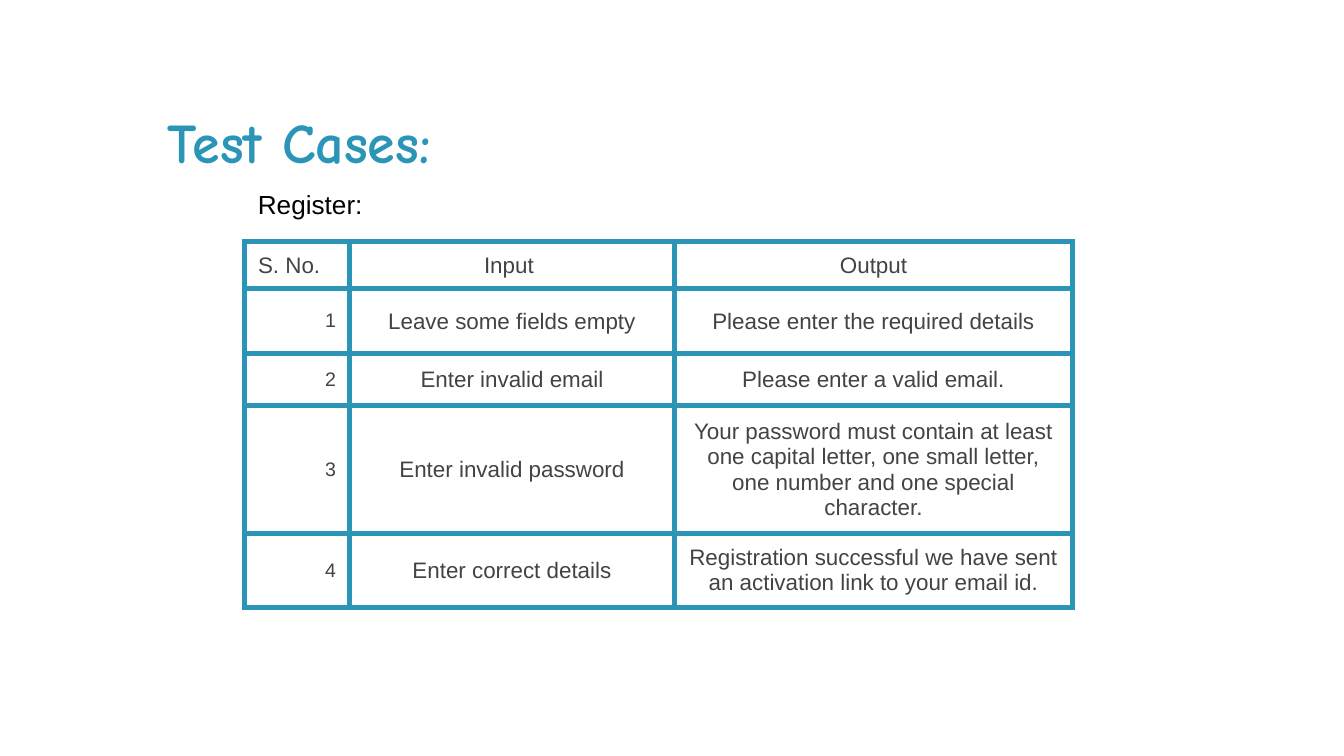
"""Build the register test cases slide."""
from lxml import etree
from pptx import Presentation
from pptx import util as u
from pptx.dml.color import RGBColor
from pptx.enum import text
from pptx.oxml import ns

COLORS = {"teal": "2A95B7", "black": "000000", "gray": "434343", "white": "FFFFFF"}
ALIGN = text.PP_ALIGN


def write(tf, content, size=12, color="gray", font="Arial", bold=False, align=ALIGN.LEFT):
    p = tf.paragraphs[0]
    p.alignment = align
    r = p.add_run()
    r.text = content
    r.font.size = u.Pt(size)
    r.font.name = font
    r.font.bold = bold
    r.font.color.rgb = RGBColor.from_string(COLORS[color])


def add_borders(cell, color, width):
    tc_pr = cell._tc.get_or_add_tcPr()
    for side in ("lnL", "lnR", "lnT", "lnB"):
        ln = etree.SubElement(tc_pr, ns.qn(f"a:{side}"), w=str(u.Pt(width)))
        fill = etree.SubElement(ln, ns.qn("a:solidFill"))
        etree.SubElement(fill, ns.qn("a:srgbClr"), val=COLORS[color])


prs = Presentation()
prs.slide_width, prs.slide_height = u.Inches(10), u.Inches(10 * 9 / 16)
s = prs.slides.add_slide(prs.slide_layouts[6])

headings = [
    ((1.15, 0.7, 7.68, 0.82), 0.1, "Test Cases:",
     dict(size=30, color="teal", font="Comic Neue", bold=True)),
    ((1.82, 1.35, 3.96, 0.34), 0.05, "Register:", dict(size=14, color="black")),
]
for box, inset, content, style in headings:
    tf = s.shapes.add_textbox(*map(u.Inches, box)).text_frame
    tf.word_wrap = True
    tf.margin_top = tf.margin_bottom = u.Inches(inset)
    write(tf, content, **style)

rows = [
    ("S. No.", "Input ", "Output"),
    ("1", "Leave some fields empty", "Please enter the required details"),
    ("2", "Enter invalid email", "Please enter a valid email."),
    ("3", "Enter invalid password",
     "Your password must contain at least one capital letter, one small letter, "
     "one number and one special character."),
    ("4", "Enter correct details",
     "Registration successful we have sent an activation link to your email id."),
]
widths = [0.78, 2.42, 2.96]
heights = [0.35, 0.48, 0.39, 0.95, 0.55]

table = s.shapes.add_table(
    len(rows), len(widths), u.Inches(1.82), u.Inches(1.8),
    u.Inches(sum(widths)), u.Inches(sum(heights))).table
table.first_row = table.horz_banding = False
for column, width in zip(table.columns, widths):
    column.width = u.Inches(width)
for row, height in zip(table.rows, heights):
    row.height = u.Inches(height)

for i, values in enumerate(rows):
    for j, value in enumerate(values):
        cell = table.cell(i, j)
        cell.margin_left = cell.margin_right = u.Inches(0.1)
        cell.margin_top = cell.margin_bottom = u.Inches(0.07)
        cell.vertical_anchor = text.MSO_ANCHOR.MIDDLE
        add_borders(cell, "teal", 3)
        cell.fill.solid()
        cell.fill.fore_color.rgb = RGBColor.from_string(COLORS["white"])
        if j > 0:
            write(cell.text_frame, value, align=ALIGN.CENTER)
        elif i > 0:
            write(cell.text_frame, value, size=10.5, align=ALIGN.RIGHT)
        else:
            write(cell.text_frame, value)

prs.save("out.pptx")
